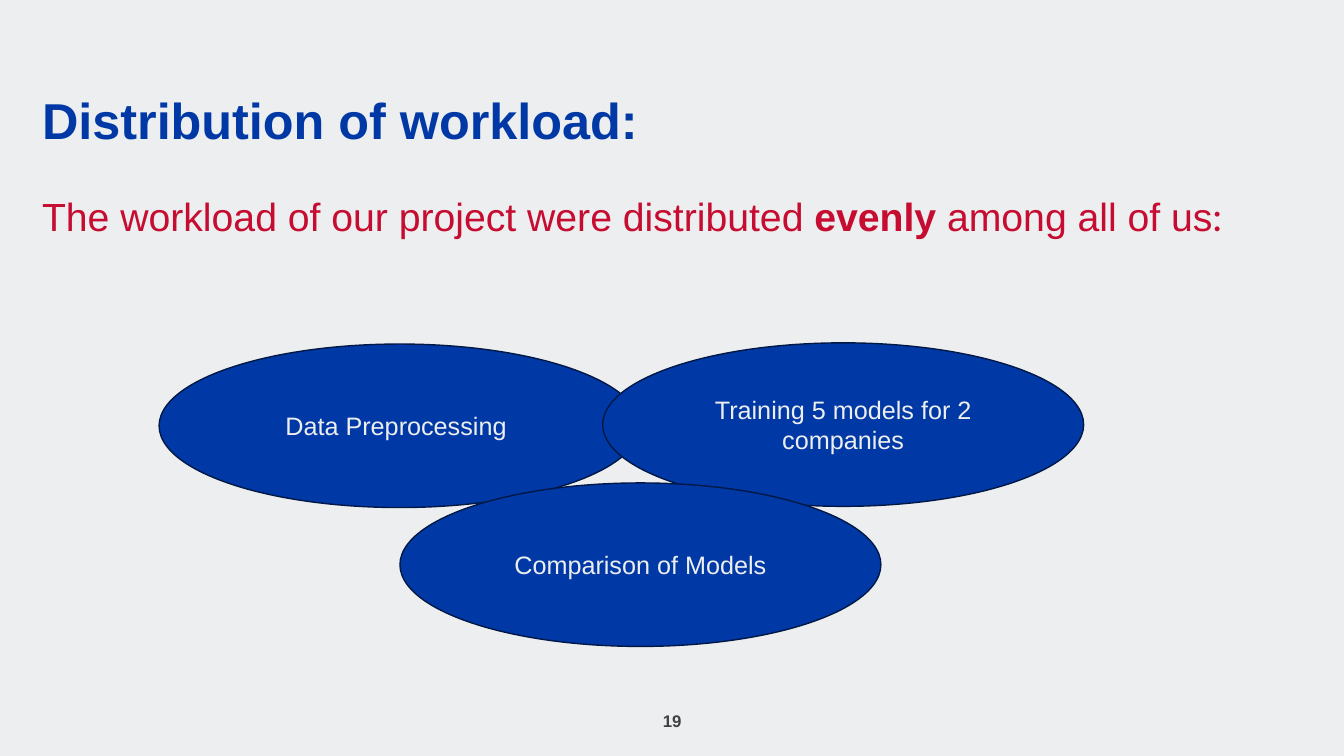
from pptx import Presentation
from pptx.dml.color import RGBColor
from pptx.enum.shapes import MSO_SHAPE
from pptx.enum.text import MSO_ANCHOR, PP_ALIGN
from pptx.util import Cm, Pt

BACKGROUND = RGBColor(0xED, 0xEE, 0xEF)
BLUE = RGBColor(0x00, 0x39, 0xA6)
NAVY = RGBColor(0x00, 0x18, 0x46)
RED = RGBColor(0xC6, 0x0C, 0x30)
GREY = RGBColor(0x40, 0x40, 0x41)

OVAL_WIDTH, OVAL_HEIGHT = 12.12, 4.12
WORKLOAD_OVALS = [
    ("Data Preprocessing ", 0, 0.03),
    ("Training 5 models for 2 companies", 11.18, 0),
    ("Comparison of Models", 6.07, 3.53),
]


def write_text(shape, runs, size, color, align=PP_ALIGN.LEFT,
               anchor=MSO_ANCHOR.TOP, margins=(0, 0), line_spacing=None):
    frame = shape.text_frame
    frame.word_wrap = True
    frame.vertical_anchor = anchor
    frame.margin_left = frame.margin_right = Cm(margins[0])
    frame.margin_top = frame.margin_bottom = Cm(margins[1])
    paragraph = frame.paragraphs[0]
    paragraph.alignment = align
    if line_spacing:
        paragraph.line_spacing = line_spacing
    for text, bold, font_name in runs:
        run = paragraph.add_run()
        run.text = text
        run.font.size = Pt(size)
        run.font.bold = bold
        run.font.name = font_name
        run.font.color.rgb = color


def add_text(slide, left, top, width, height, runs, **text_format):
    box = slide.shapes.add_textbox(Cm(left), Cm(top), Cm(width), Cm(height))
    write_text(box, runs, **text_format)


def add_heading(slide, left, top, width):
    add_text(slide, left, top, width, 1.4,
             [("Distribution of workload:", True, "Arial")],
             size=36, color=BLUE, anchor=MSO_ANCHOR.BOTTOM, line_spacing=0.9)


def add_statement(slide, left, top, width, height):
    runs = [
        ("The workload of our project were distributed ", False, "Arial"),
        ("evenly ", True, "Arial"),
        ("among all of us", False, "Arial"),
        (":", False, "Lato"),
    ]
    add_text(slide, left, top, width, height, runs, size=28, color=RED)


def add_workload_ovals(slide, left, top):
    for label, across, down in WORKLOAD_OVALS:
        oval = slide.shapes.add_shape(
            MSO_SHAPE.OVAL, Cm(left + across), Cm(top + down),
            Cm(OVAL_WIDTH), Cm(OVAL_HEIGHT))
        oval.shadow.inherit = False
        oval.fill.solid()
        oval.fill.fore_color.rgb = BLUE
        oval.line.color.rgb = NAVY
        oval.line.width = Pt(1)
        write_text(oval, [(label, False, "Arial")], size=18, color=BACKGROUND,
                   align=PP_ALIGN.CENTER, anchor=MSO_ANCHOR.MIDDLE,
                   margins=(0.25, 0.13))


def add_page_number(slide, left, top, width, height):
    add_text(slide, left, top, width, height, [("19", True, "Arial")],
             size=12, color=GREY, align=PP_ALIGN.CENTER,
             anchor=MSO_ANCHOR.MIDDLE, margins=(0.25, 0.13))


def main():
    presentation = Presentation()
    presentation.slide_width = Cm(33.87)
    presentation.slide_height = Cm(19.05)
    slide = presentation.slides.add_slide(presentation.slide_layouts[6])
    slide.background.fill.solid()
    slide.background.fill.fore_color.rgb = BACKGROUND
    add_heading(slide, 1.06, 2.39, 31.75)
    add_statement(slide, 1.06, 4.85, 30.18, 11.71)
    add_page_number(slide, 13.13, 17.65, 7.62, 1.02)
    add_workload_ovals(slide, 4.01, 8.64)
    presentation.save("out.pptx")


if __name__ == "__main__":
    main()
